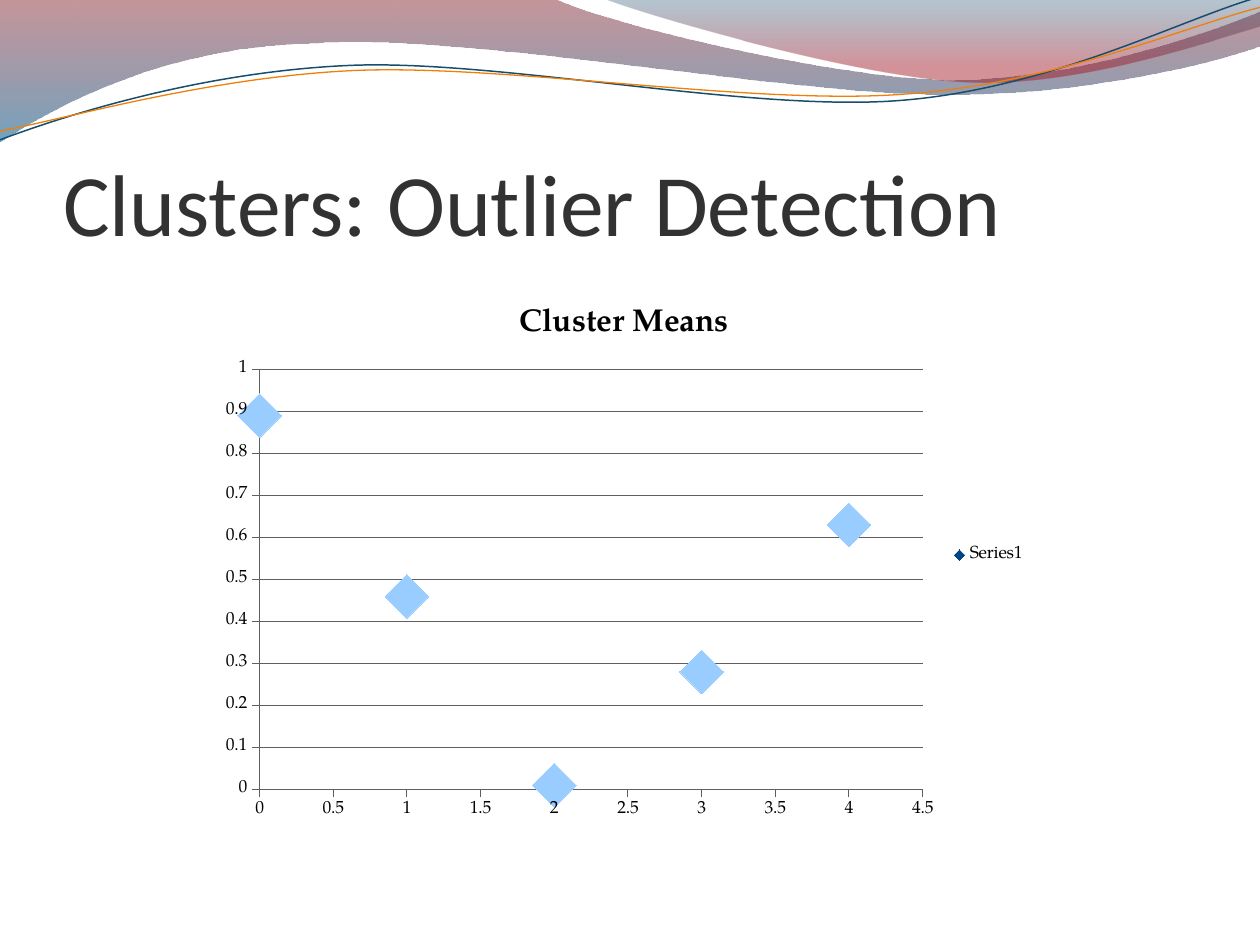
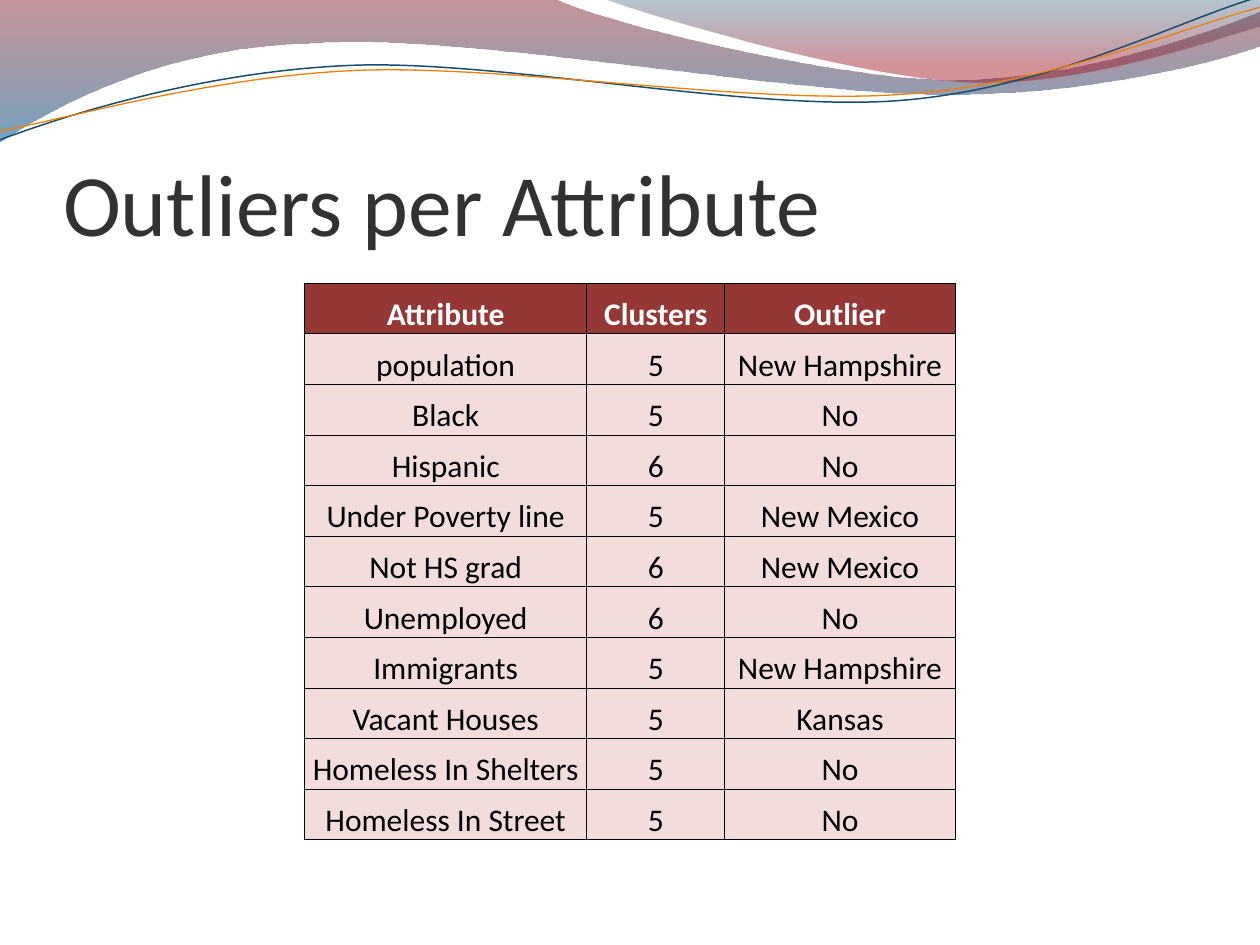
from lxml import etree
from pptx import Presentation
from pptx.chart.data import XyChartData
from pptx.dml.color import RGBColor
from pptx.enum.chart import XL_CHART_TYPE, XL_LEGEND_POSITION, XL_MARKER_STYLE, XL_TICK_MARK
from pptx.enum.text import MSO_ANCHOR, MSO_AUTO_SIZE, PP_ALIGN
from pptx.oxml import parse_xml
from pptx.oxml.ns import nsdecls, qn
from pptx.util import Cm, Pt

TITLE_FONT = "Calibri"
CHART_FONT = "TeX Gyre Pagella"
BLACK = RGBColor(0x00, 0x00, 0x00)
WHITE = RGBColor(0xFF, 0xFF, 0xFF)
TITLE_GREY = RGBColor(0x32, 0x32, 0x32)
AXIS_GREY = RGBColor(0x5F, 0x5F, 0x5F)
CRIMSON = RGBColor(0x7E, 0x16, 0x21)
RED = RGBColor(0xA1, 0x0F, 0x1F)
OCEAN = RGBColor(0x00, 0x56, 0x89)
NAVY = RGBColor(0x09, 0x44, 0x67)
STEEL = RGBColor(0x18, 0x4E, 0x6D)
ORANGE = RGBColor(0xF0, 0x7F, 0x09)
MARKER_BLUE = RGBColor(0x99, 0xCC, 0xFF)
LEGEND_BLUE = RGBColor(0x00, 0x45, 0x86)
HEADER_FILL = RGBColor(0x95, 0x37, 0x35)
BODY_FILL = RGBColor(0xF2, 0xDD, 0xDC)

# Outlines in centimetres: one point is a straight step, three points are a Bezier curve.
WIDE_WAVE = [
    [(0, 0)],
    [(11.18, -0.03)],
    [(12.09, 0.43), (16.87, 1.6), (19.25, 1.6)],
    [(21.67, 1.6), (24.33, 0.66), (25.4, 0.23)],
    [(25.43, 0.91)],
    [(24.97, 1.12), (22.1, 1.93), (18.95, 1.9)],
    [(15.8, 1.9), (9.7, 0.71), (6.53, 0.86)],
    [(3.28, 0.91), (1.17, 2.11), (-0.03, 2.87)],
]
RIGHT_WAVE = [
    [(12.17, -0.03)],
    [(12.93, 0.28), (17.32, 1.57), (19.53, 1.65)],
    [(21.74, 1.75), (24.41, 0.81), (25.4, 0.53)],
    [(25.4, 0)],
]
BLUE_STRAND = [
    [(0, 2.82)],
    [(1.22, 2.36), (4.01, 1.45), (7.04, 1.32)],
    [(10.03, 1.19), (15.06, 2.26), (18.11, 2.03)],
    [(21.16, 1.8), (23.83, 0.38), (25.35, -0.05)],
]
ORANGE_STRAND = [
    [(0, 2.64)],
    [(1.19, 2.44), (4.17, 1.55), (7.19, 1.42)],
    [(10.24, 1.3), (15.21, 2.13), (18.21, 1.9)],
    [(21.23, 1.7), (23.9, 0.53), (25.4, 0.15)],
]

CLUSTER_MEANS = [0.89, 0.46, 0.01, 0.28, 0.63]
OUTLIER_ROWS = [
    ("Attribute", "Clusters", "Outlier"),
    ("population", "5", "New Hampshire"),
    ("Black", "5", "No"),
    ("Hispanic", "6", "No"),
    ("Under Poverty line", "5", "New Mexico"),
    ("Not HS grad", "6", "New Mexico"),
    ("Unemployed", "6", "No"),
    ("Immigrants", "5", "New Hampshire"),
    ("Vacant Houses", "5", "Kansas"),
    ("Homeless In Shelters", "5", "No"),
    ("Homeless In Street", "5", "No"),
]


def bend_segments(shape, outline):
    """Turn the straight steps of a freeform into the outline's Bezier curves."""
    steps = list(shape._element.iter(qn("a:lnTo")))
    for step, segment in zip(steps, outline[1:]):
        if len(segment) == 3:
            points = "".join(f'<a:pt x="{Cm(x) - shape.left}" y="{Cm(y) - shape.top}"/>'
                             for x, y in segment)
            curve = parse_xml(f'<a:cubicBezTo {nsdecls("a")}>{points}</a:cubicBezTo>')
            step.getparent().replace(step, curve)


def style_font(font, name, size, color, bold=False):
    font.name = name
    font.size = Pt(size)
    font.color.rgb = color
    font.bold = bold


def set_borders(cell, color=BLACK, width=Pt(0.5)):
    properties = cell._tc.get_or_add_tcPr()
    for side in "LRTB":
        properties.append(parse_xml(
            f'<a:ln{side} {nsdecls("a")} w="{width}"><a:solidFill>'
            f'<a:srgbClr val="{color}"/></a:solidFill></a:ln{side}>'))


class Deck:
    def __init__(self):
        self.presentation = Presentation()
        self.presentation.slide_width = Cm(25.4)
        self.presentation.slide_height = Cm(19.05)
        self.layout = self.presentation.slide_layouts[5]
        self.slide = None

    def add_slide(self, title):
        self.slide = self.presentation.slides.add_slide(self.layout)
        self.set_title(title)

    def decorate_layout(self):
        """Draw the waves on the current slide and hand them to the shared layout."""
        waves = [
            self.add_wave(WIDE_WAVE, (0, CRIMSON, 45), (1, OCEAN, 55)),
            self.add_wave(RIGHT_WAVE, (0, NAVY, 30), (0.8, RED, 45)),
            self.add_strand(BLUE_STRAND, STEEL, 0.85),
            self.add_strand(ORANGE_STRAND, ORANGE, 0.75),
        ]
        for wave in waves:
            self.layout.shapes._spTree.append(wave._element)

    def set_title(self, text):
        shape = self.slide.shapes.title
        shape.left, shape.top, shape.width, shape.height = Cm(1.27), Cm(1.95), Cm(22.86), Cm(3.17)
        frame = shape.text_frame
        frame.text = text
        frame.auto_size = MSO_AUTO_SIZE.NONE
        frame.vertical_anchor = MSO_ANCHOR.BOTTOM
        frame.margin_left = frame.margin_right = frame.margin_bottom = 0
        frame.margin_top = Cm(0.13)
        paragraph = frame.paragraphs[0]
        paragraph.alignment = PP_ALIGN.LEFT
        style_font(paragraph.runs[0].font, TITLE_FONT, 50, TITLE_GREY)

    def add_outline(self, outline, close):
        start, *corners = [(Cm(x), Cm(y)) for x, y in (segment[-1] for segment in outline)]
        builder = self.slide.shapes.build_freeform(*start)
        builder.add_line_segments(corners, close=close)
        shape = builder.convert_to_shape()
        bend_segments(shape, outline)
        shape.shadow.inherit = False
        return shape

    def add_wave(self, outline, *stops):
        """Add a closed shape with a see-through gradient running downwards."""
        shape = self.add_outline(outline, close=True)
        shape.line.fill.background()
        shape.fill.gradient()
        shape.fill.gradient_angle = 270
        for stop, (position, color, _) in zip(shape.fill.gradient_stops, stops):
            stop.position = position
            stop.color.rgb = color
        for element, (_, _, opacity) in zip(shape._element.iter(qn("a:srgbClr")), stops):
            etree.SubElement(element, qn("a:alpha")).set("val", str(opacity * 1000))
        return shape

    def add_strand(self, outline, color, width):
        shape = self.add_outline(outline, close=False)
        shape.fill.background()
        shape.line.color.rgb = color
        shape.line.width = Pt(width)
        return shape

    def add_scatter(self, title, series_name, values):
        data = XyChartData()
        data_series = data.add_series(series_name)
        for x, y in enumerate(values):
            data_series.add_data_point(x, y)
        chart = self.slide.shapes.add_chart(
            XL_CHART_TYPE.XY_SCATTER, Cm(4.23), Cm(5.69), Cm(16.71), Cm(11), data).chart
        style_font(chart.font, CHART_FONT, 10, BLACK)
        chart.has_title = True
        chart.chart_title.text_frame.text = title
        run = chart.chart_title.text_frame.paragraphs[0].runs[0]
        style_font(run.font, CHART_FONT, 18, BLACK, bold=True)
        chart.has_legend = True
        chart.legend.position = XL_LEGEND_POSITION.RIGHT
        chart.legend.include_in_layout = False
        plot = chart.plots[0]
        plot.vary_by_categories = False
        self.style_axis(chart.category_axis, 4.5, 0.5, gridlines=False)
        self.style_axis(chart.value_axis, 1, 0.1, gridlines=True)
        self.place_plot(chart, x=0.06, y=0.16, w=0.8, h=0.77)

        series = plot.series[0]
        series.smooth = False
        series.format.line.fill.background()
        self.style_marker(series.marker, LEGEND_BLUE, 10)
        for index in range(len(values)):
            self.style_marker(series.points[index].marker, MARKER_BLUE, 25)

    @staticmethod
    def style_marker(marker, color, size):
        marker.style = XL_MARKER_STYLE.DIAMOND
        marker.size = size
        marker.format.fill.solid()
        marker.format.fill.fore_color.rgb = color
        marker.format.line.fill.background()

    @staticmethod
    def style_axis(axis, maximum, unit, gridlines):
        axis.minimum_scale, axis.maximum_scale, axis.major_unit = 0, maximum, unit
        axis.has_title = False
        axis.major_tick_mark = XL_TICK_MARK.OUTSIDE
        axis.has_major_gridlines = gridlines
        lines = [axis.format.line]
        if gridlines:
            lines.append(axis.major_gridlines.format.line)
        for line in lines:
            line.color.rgb = AXIS_GREY
            line.width = Pt(0.5)

    @staticmethod
    def place_plot(chart, **fractions):
        """Fix the inner plot area as fractions of the chart frame."""
        area = chart._chartSpace.chart.plotArea
        for old_layout in area.findall(qn("c:layout")):
            area.remove(old_layout)
        places = "".join(f'<c:{key} val="{value}"/>' for key, value in fractions.items())
        area.insert(0, parse_xml(
            f'<c:layout {nsdecls("c")}><c:manualLayout><c:layoutTarget val="inner"/>'
            f'<c:xMode val="edge"/><c:yMode val="edge"/>{places}</c:manualLayout></c:layout>'))

    def add_table(self, rows, column_widths, row_height):
        table = self.slide.shapes.add_table(
            len(rows), len(column_widths), Cm(6.14), Cm(5.71),
            Cm(sum(column_widths)), Cm(row_height * len(rows))).table
        table.horz_banding = False
        for column, width in zip(table.columns, column_widths):
            column.width = Cm(width)
        for row_index, texts in enumerate(rows):
            table.rows[row_index].height = Cm(row_height)
            for column_index, text in enumerate(texts):
                self.fill_cell(table.cell(row_index, column_index), text, row_index == 0)

    @staticmethod
    def fill_cell(cell, text, is_header):
        set_borders(cell)
        cell.fill.solid()
        cell.fill.fore_color.rgb = HEADER_FILL if is_header else BODY_FILL
        cell.margin_left = cell.margin_right = cell.margin_top = Cm(0.03)
        cell.margin_bottom = 0
        cell.vertical_anchor = MSO_ANCHOR.BOTTOM
        cell.text_frame.text = text
        paragraph = cell.text_frame.paragraphs[0]
        paragraph.alignment = PP_ALIGN.CENTER
        style_font(paragraph.runs[0].font, TITLE_FONT, 18,
                   WHITE if is_header else BLACK, bold=is_header)


def main():
    deck = Deck()
    deck.add_slide("Clusters: Outlier Detection")
    deck.decorate_layout()
    deck.add_scatter("Cluster Means", "Series1", CLUSTER_MEANS)
    deck.add_slide("Outliers per Attribute")
    deck.add_table(OUTLIER_ROWS, column_widths=(5.69, 2.78, 4.65), row_height=1.02)
    deck.presentation.save("out.pptx")


if __name__ == "__main__":
    main()
